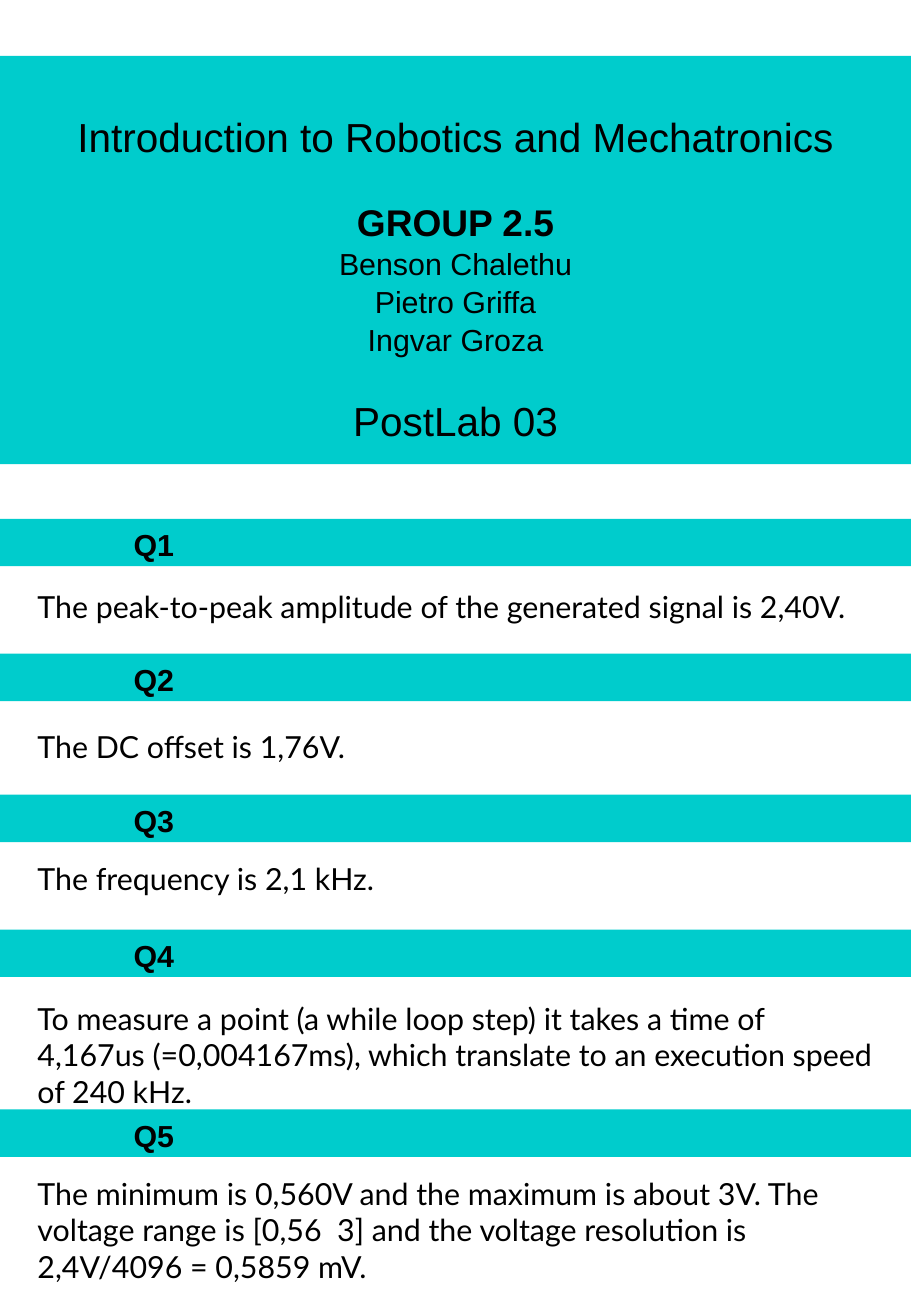
"""Build the PostLab 03 answer sheet."""
from pptx import Presentation
from pptx.dml.color import RGBColor as RGB
from pptx.enum.shapes import MSO_SHAPE as Shape
from pptx.enum.text import MSO_ANCHOR as Anchor, MSO_AUTO_SIZE as Auto, PP_ALIGN as Align
from pptx.util import Inches, Pt

HUES = {"band": "00CCCC", "ink": "000000"}


def paint(shape):
    shape.fill.solid()
    shape.fill.fore_color.rgb = RGB.from_string(HUES["band"])
    shape.line.fill.background()


def write(para, text, size, face="Arial", bold=False):
    run = para.add_run()
    run.text = text
    font = run.font
    font.name, font.size, font.bold = face, Pt(size), bold
    font.color.rgb = RGB.from_string(HUES["ink"])


deck = Presentation()
deck.slide_width, deck.slide_height = Inches(7.5), Inches(10.83)
slide = deck.slides.add_slide(deck.slide_layouts[5])

title = slide.shapes.title
title.left, title.top = Inches(0), Inches(0.46)
title.width, title.height = Inches(7.5), Inches(3.36)
paint(title)
frame = title.text_frame
frame.word_wrap, frame.auto_size = True, Auto.NONE
frame.vertical_anchor = Anchor.TOP
frame.margin_top = Inches(0.45)

heads = [
    ("Introduction to Robotics and Mechatronics", 24, False, 0),
    ("GROUP 2.5", 22, True, 21.5),
    ("Benson Chalethu", 18, False, 0),
    ("Pietro Griffa", 18, False, 0),
    ("Ingvar Groza", 18, False, 0),
    ("PostLab 03", 24, False, 21.5),
]
for row, (text, size, bold, gap) in enumerate(heads):
    para = frame.add_paragraph() if row else frame.paragraphs[0]
    para.alignment = Align.CENTER
    para.line_spacing, para.space_before = 1.04, Pt(gap)
    write(para, text, size, bold=bold)

answers = [
    (4.27, 4.79, 0.4, "The peak-to-peak amplitude of the generated signal is 2,40V."),
    (5.38, 5.94, 0.4, "The DC offset is 1,76V."),
    (6.54, 7.03, 0.4, "The frequency is 2,1 kHz."),
    (7.65, 8.18, 1, "To measure a point (a while loop step) it takes a time of 4,167us "
     "(=0,004167ms), which translate to an execution speed of 240 kHz."),
    (9.13, 9.62, 1, "The minimum is 0,560V and the maximum is about 3V. The voltage range "
     "is [0,56  3] and the voltage resolution is 2,4V/4096 = 0,5859 mV."),
]
for num, (top, low, high, text) in enumerate(answers, 1):
    band = slide.shapes.add_shape(Shape.RECTANGLE, 0, Inches(top), Inches(7.5), Inches(0.39))
    band.shadow.inherit = False
    paint(band)
    frame = band.text_frame
    frame.vertical_anchor = Anchor.TOP
    frame.margin_left = Inches(1.1)
    para = frame.paragraphs[0]
    para.alignment, para.line_spacing = Align.LEFT, 1.04
    write(para, f"Q{num}", 18, bold=True)

    box = slide.shapes.add_textbox(Inches(0.21), Inches(low), Inches(7.09), Inches(high))
    box.text_frame.word_wrap = True
    write(box.text_frame.paragraphs[0], text, 18, "Lato")

deck.save("out.pptx")
